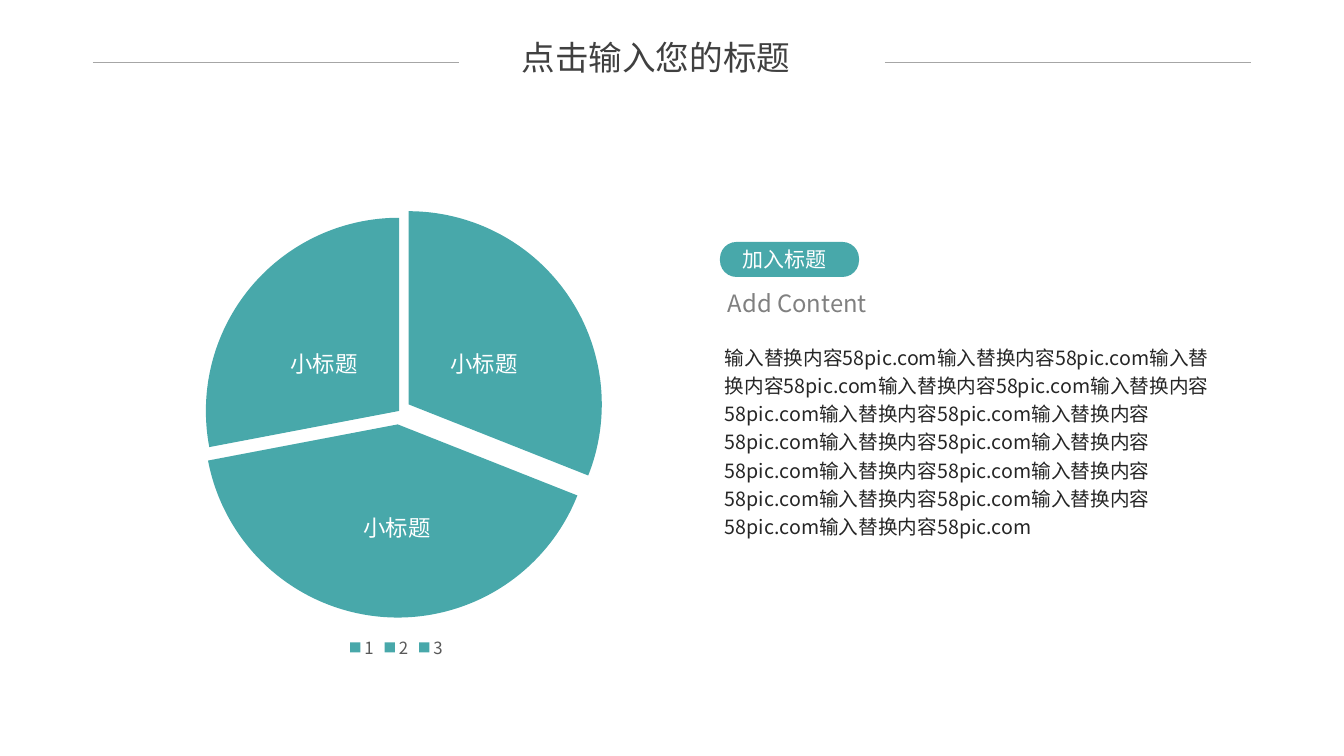
from lxml import etree
from pptx import Presentation
from pptx import util as u
from pptx.chart.data import CategoryChartData
from pptx.dml.color import RGBColor
from pptx.enum import chart as ch, shapes, text
from pptx.oxml import parse_xml
from pptx.oxml.ns import nsdecls, qn

TEAL = RGBColor(0x48, 0xA8, 0xAA)
WHITE = RGBColor(0xFF, 0xFF, 0xFF)
TITLE = RGBColor(0x40, 0x40, 0x40)
BODY = RGBColor(0x26, 0x26, 0x26)
GREY = RGBColor(0x80, 0x80, 0x80)
RULE = RGBColor(0xA6, 0xA6, 0xA6)
LEGEND = RGBColor(0x59, 0x59, 0x59)
FONT = "Noto Sans CJK JP"
LEFT, CENTER = text.PP_ALIGN.LEFT, text.PP_ALIGN.CENTER
TOP, MIDDLE = text.MSO_ANCHOR.TOP, text.MSO_ANCHOR.MIDDLE


def px(n):
    return u.Emu(n * 12192000 // 1344)


def add_text(words, x, y, w, h, size, color, align=LEFT, anchor=TOP, inset=(10, 5), spacing=1.0):
    tf = s.shapes.add_textbox(px(x), px(y), px(w), px(h)).text_frame
    tf.word_wrap = True
    tf.vertical_anchor = anchor
    tf.margin_left = tf.margin_right = px(inset[0])
    tf.margin_top = tf.margin_bottom = px(inset[1])
    p = tf.paragraphs[0]
    p.alignment = align
    p.line_spacing = spacing
    r = p.add_run()
    r.text = words
    r.font.size = u.Pt(size)
    r.font.color.rgb = color
    r.font.name = FONT
    ea = etree.SubElement(r.font._element, qn("a:ea"))
    ea.set("typeface", FONT)


prs = Presentation()
prs.slide_width, prs.slide_height = px(1344), px(756)
s = prs.slides.add_slide(prs.slide_layouts[6])

pill = s.shapes.add_shape(shapes.MSO_SHAPE.ROUNDED_RECTANGLE, px(720), px(242), px(139), px(35))
pill.adjustments[0] = 0.47
pill.shadow.inherit = False
pill.fill.solid()
pill.fill.fore_color.rgb = TEAL
pill.line.fill.background()

add_text("加入标题", 733, 242, 131, 35, 15, WHITE)
add_text("Add Content", 718, 284, 176, 39, 17, GREY)
add_text("输入替换内容58pic.com" * 14, 720, 338, 495, 407, 14, BODY, inset=(5, 3), spacing=1.2)

data = CategoryChartData()
data.categories = ["1", "2", "3"]
data.add_series("Series 1", (31, 41, 28))
pie = s.shapes.add_chart(ch.XL_CHART_TYPE.PIE, px(131), px(204), px(531), px(460), data).chart
pie.has_title = False
pie.font.name = FONT
pie.font.size = u.Pt(10)
pie.has_legend = True
pie.legend.position = ch.XL_LEGEND_POSITION.BOTTOM
pie.legend.include_in_layout = False
pie.legend.font.name = FONT
pie.legend.font.size = u.Pt(12)
pie.legend.font.color.rgb = LEGEND

plot = pie.plots[0]
plot.vary_by_categories = True
for i, explosion in enumerate((6, 7, 0)):
    point = plot.series[0].points[i]
    point.format.fill.solid()
    point.format.fill.fore_color.rgb = TEAL
    point.format.line.fill.background()
    spPr = plot.series[0]._element.findall(qn("c:dPt"))[i].find(qn("c:spPr"))
    spPr.addprevious(parse_xml(f'<c:explosion {nsdecls("c")} val="{explosion}"/>'))

area = pie._chartSpace.chart.plotArea
for old in area.findall(qn("c:layout")):
    area.remove(old)
area.insert(0, parse_xml(
    f'<c:layout {nsdecls("c")}><c:manualLayout><c:layoutTarget val="inner"/>'
    '<c:xMode val="edge"/><c:yMode val="edge"/><c:x val="0.14"/><c:y val="0.03"/>'
    '<c:w val="0.73"/><c:h val="0.84"/></c:manualLayout></c:layout>'))

for x, y in ((256, 340), (416, 340), (329, 504)):
    add_text("小标题", x, y, 136, 40, 16, WHITE, align=CENTER, spacing=1.2)

add_text("点击输入您的标题", 450, 37, 412, 40, 24, TITLE, align=CENTER, anchor=MIDDLE, inset=(0, 0))

for x in (93, 885):
    rule = s.shapes.add_connector(shapes.MSO_CONNECTOR.STRAIGHT, px(x), px(62), px(x + 366), px(62))
    rule.line.color.rgb = RULE
    rule.line.width = u.Pt(0.5)
    etree.SubElement(rule._element.spPr, qn("a:effectLst"))

prs.save("out.pptx")
